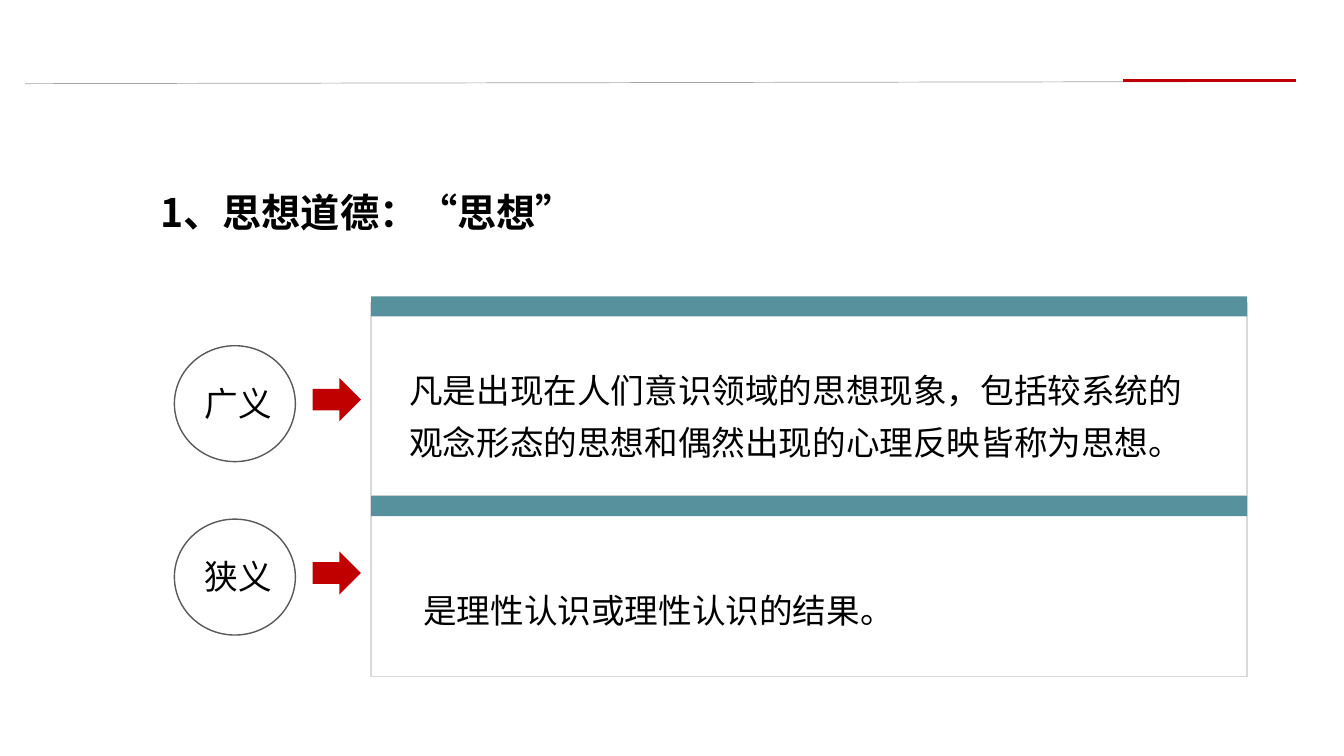
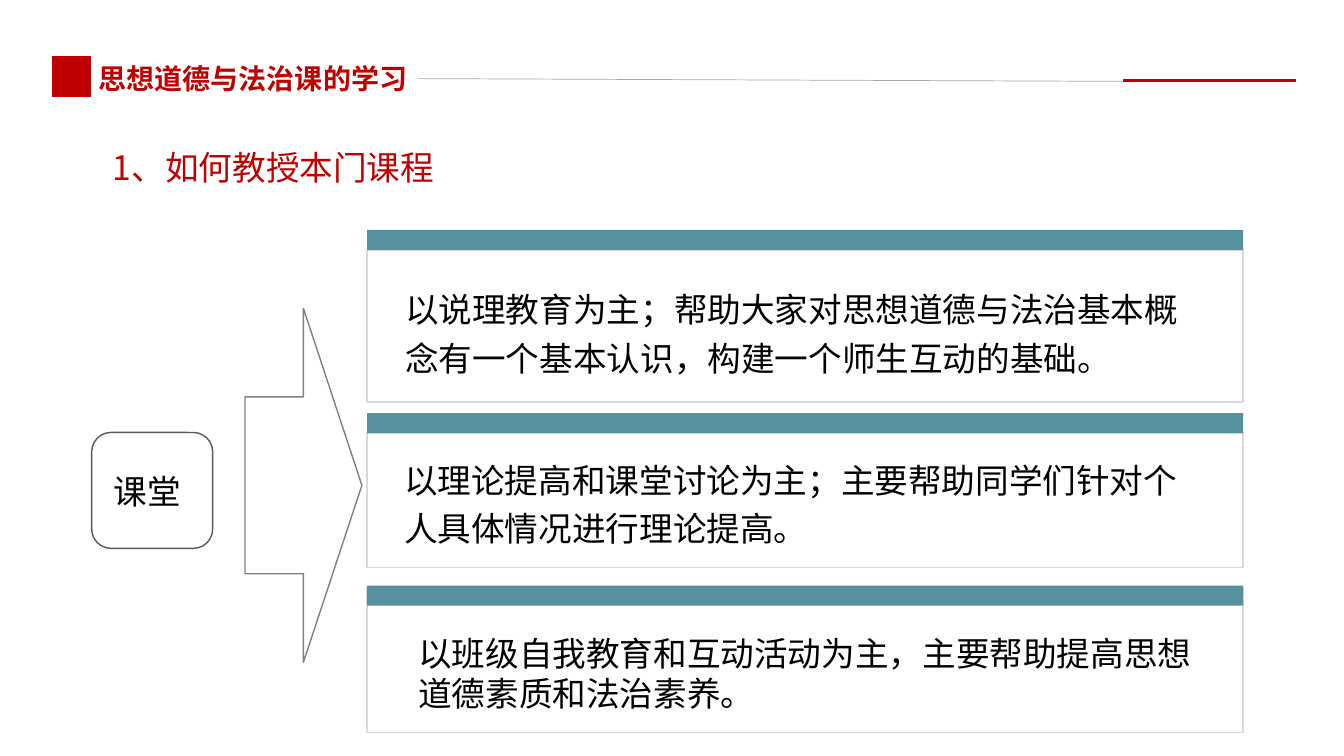
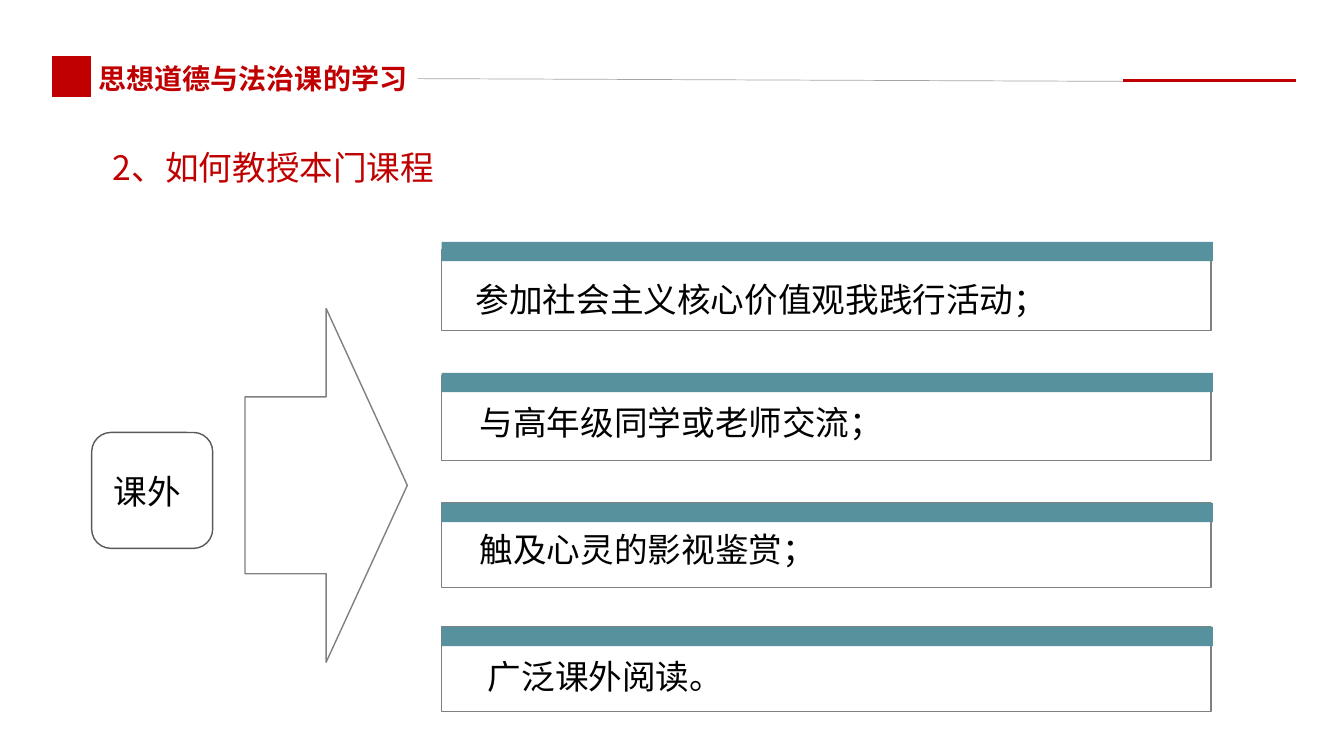
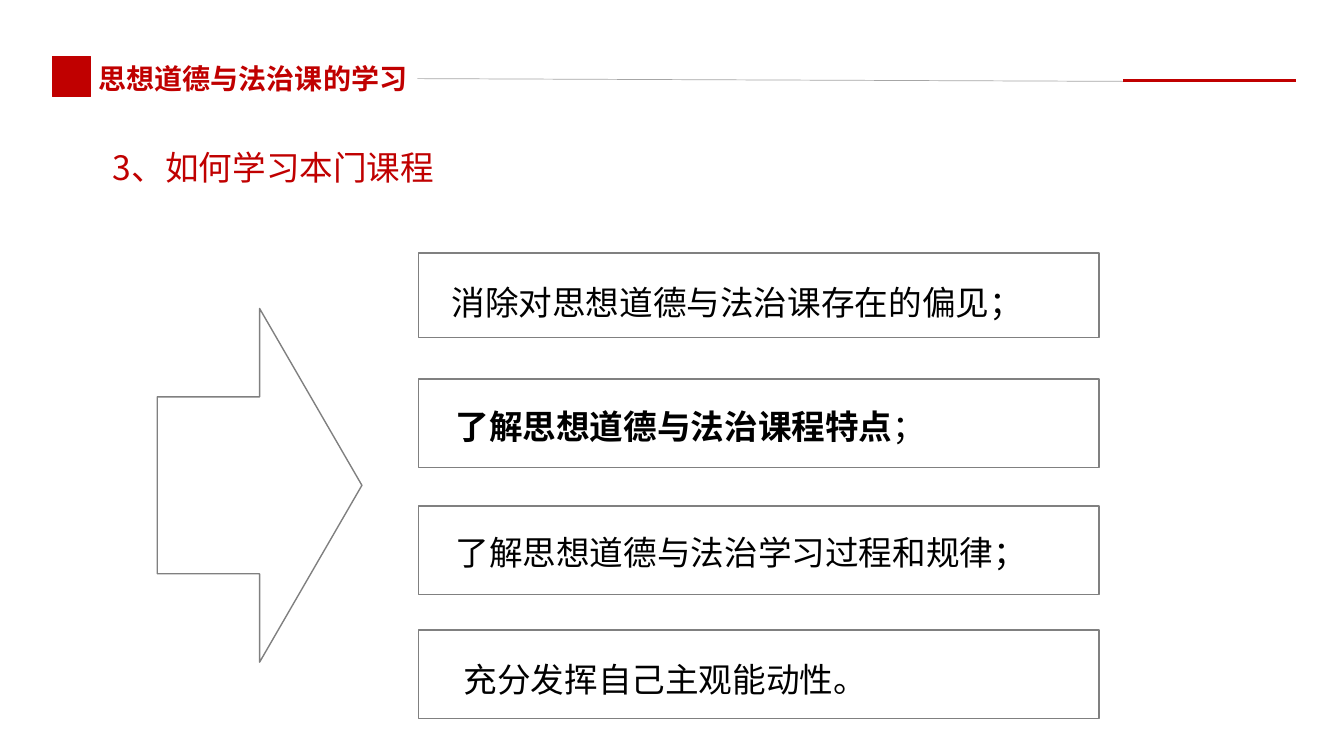
from dataclasses import dataclass
from lxml.etree import SubElement
from pptx import Presentation
from pptx.dml.color import RGBColor as Rgb
from pptx.enum.shapes import MSO_CONNECTOR as Conn, MSO_SHAPE as Kind
from pptx.enum.text import MSO_ANCHOR as Anchor, MSO_AUTO_SIZE as Auto, PP_ALIGN as Align
from pptx.oxml.ns import qn
from pptx.util import Inches, Pt


@dataclass(frozen=True)
class Theme:
    red: str = "C00000"
    teal: str = "58919E"
    white: str = "FFFFFF"
    black: str = "000000"
    dark: str = "595959"
    mid: str = "808080"
    rule: str = "A6A6A6"
    pale: str = "D9D9D9"
    font: str = "Noto Sans CJK SC"
    latin: str = "Arial"
    big: int = 28
    body: int = 24
    small: int = 20


class Deck:
    """Hold the theme and the current slide, and draw each kind of element."""

    def __init__(self, theme):
        self.theme = theme
        self.file = Presentation()
        self.file.slide_width = Inches(13.33)
        self.file.slide_height = Inches(7.5)
        self.slide = None

    def start(self, title, box, **style):
        self.slide = self.file.slides.add_slide(self.file.slide_layouts[5])
        head = self.slide.shapes.title
        head.left, head.top, head.width, head.height = map(Inches, box)
        self.label(head, title, **style)

    def label(self, shape, text, size=None, color=None, bold=False,
              space=1.0, align=Align.LEFT, wrap=True):
        frame = shape.text_frame
        look = {"word_wrap": wrap, "auto_size": Auto.SHAPE_TO_FIT_TEXT,
                "vertical_anchor": Anchor.TOP}
        for name, value in look.items():
            setattr(frame, name, value)
        para = frame.paragraphs[0]
        para.alignment = align
        para.line_spacing = space
        parts = [(text, bold, self.theme.font)] if isinstance(text, str) else text
        for words, heavy, face in parts:
            run = para.add_run()
            run.text = words
            look = {"size": Pt(size or self.theme.body), "bold": heavy, "name": face}
            for name, value in look.items():
                setattr(run.font, name, value)
            run.font.color.rgb = Rgb.from_string(color or self.theme.black)
            east = SubElement(run._r.get_or_add_rPr(), qn("a:ea"))
            east.set("typeface", self.theme.font)

    def text(self, text, box, **style):
        shape = self.slide.shapes.add_textbox(*map(Inches, box))
        self.label(shape, text, **style)
        return shape

    def shape(self, kind, box, fill=None, line=None, width=1):
        shape = self.slide.shapes.add_shape(kind, *map(Inches, box))
        shape.shadow.inherit = False
        if fill:
            shape.fill.solid()
            shape.fill.fore_color.rgb = Rgb.from_string(fill)
        else:
            shape.fill.background()
        if line:
            shape.line.color.rgb = Rgb.from_string(line)
            shape.line.width = Pt(width)
        else:
            shape.line.fill.background()

    def line(self, ends, color, width):
        line = self.slide.shapes.add_connector(Conn.STRAIGHT, *map(Inches, ends))
        line.line.color.rgb = Rgb.from_string(color)
        line.line.width = Pt(width)
        SubElement(line._element.spPr, qn("a:effectLst"))
        return line

    def rules(self, left, top):
        grey = self.line((left, top, 11.83, 0.81), self.theme.rule, 0.5)
        self.line((11.14, 0.8, 12.85, 0.8), self.theme.red, 2)
        return grey

    def topic(self, title):
        red = self.theme.red
        self.start(title, (1.02, 1.29, 11.63, 0.62), color=red, space=1.3)
        grey = self.rules(4.14, 0.78)
        name = self.text("思想道德与法治课的学习", (0.88, 0.56, 3.26, 0.44),
                         size=self.theme.small, color=red, bold=True, wrap=False)
        grey.begin_connect(name, 3)
        self.shape(Kind.RECTANGLE, (0.52, 0.56, 0.38, 0.4), red, red, 0.75)

    def badge(self, kind, text, box, spot):
        self.shape(kind, box, self.theme.white, self.theme.dark)
        self.text(text, spot)

    def arrow(self, left, width):
        self.shape(Kind.RIGHT_ARROW, (left, 3.06, width, 3.51), line=self.theme.mid)

    def panel(self, text, box, spot, line, space=1.2, band=None):
        self.shape(Kind.RECTANGLE, box, line=line)
        self.text(text, spot, space=space)
        if band:
            self.shape(Kind.RECTANGLE, band, self.theme.teal)


def sense(deck):
    theme = deck.theme
    deck.start("1、思想道德：“思想”", (1.49, 1.61, 5.94, 0.78),
               size=theme.big, bold=True, space=1.44, align=Align.JUSTIFY)
    deck.rules(0.25, 0.83)
    left, wide = 3.68, 8.69
    rows = [
        ("广义", 3.43, 3.75, 3, 3.71, 2.94, (3.96, 3.5, 7.95, 1.15), 1.3,
         "凡是出现在人们意识领域的思想现象，包括较系统的观念形态的思想和偶然出现的心理反映皆称为思想。"),
        ("狭义", 5.15, 5.47, 4.92, 1.79, 4.92, (4.1, 5.8, 6.6, 0.5), 1.0,
         "是理性认识或理性认识的结果。"),
    ]
    for name, disc, mark, top, high, band, spot, space, text in rows:
        deck.panel(text, (left, top, wide, high), spot, theme.pale, space,
                   (left, band, wide, 0.2))
        deck.badge(Kind.OVAL, name, (1.73, disc, 1.2, 1.15), (1.93, mark, 1.58, 0.5))
        deck.shape(Kind.RIGHT_ARROW, (3.1, mark, 0.48, 0.43), theme.red)


def place(deck, title, name, width):
    deck.topic(title)
    deck.badge(Kind.ROUNDED_RECTANGLE, name, (0.91, 4.29, 1.2, 1.15),
               (1.03, 4.62, 1.08, 0.5))
    deck.arrow(2.43, width)


def indoor(deck):
    place(deck, "1、如何教授本门课程", "课堂", 1.16)
    left, wide = 3.64, 8.69
    rows = [
        (2.48, 1.51, 2.28, (3.92, 2.74, 7.95, 1.07), 1.2,
         "以说理教育为主；帮助大家对思想道德与法治基本概念有一个基本认识，构建一个师生互动的基础。"),
        (4.29, 1.34, 4.1, (3.91, 4.43, 7.95, 1.07), 1.2,
         "以理论提高和课堂讨论为主；主要帮助同学们针对个人具体情况进行理论提高。"),
        (5.83, 1.44, 5.81, (4.05, 6.23, 7.91, 0.91), 1.0,
         "以班级自我教育和互动活动为主，主要帮助提高思想道德素质和法治素养。"),
    ]
    for top, high, band, spot, space, text in rows:
        deck.panel(text, (left, top, wide, high), spot, deck.theme.pale, space,
                   (left, band, wide, 0.2))


def outdoor(deck):
    place(deck, "2、如何教授本门课程", "课外", 1.61)
    left = 4.38
    rows = [
        (2.48, 0.8, 2.4, 4.62, 2.64, "参加社会主义核心价值观我践行活动；"),
        (3.73, 0.84, 3.7, 4.66, 3.86, "与高年级同学或老师交流；"),
        (4.99, 0.84, 4.99, 4.66, 5.12, "触及心灵的影视鉴赏；"),
        (6.22, 0.84, 6.22, 4.74, 6.38, "广泛课外阅读。"),
    ]
    for top, high, band, x, y, text in rows:
        deck.panel(text, (left, top, 7.63, high), (x, y, 6.98, 0.58),
                   deck.theme.mid, band=(left, band, 7.65, 0.19))


def study(deck):
    theme = deck.theme
    deck.topic("3、如何学习本门课程")
    deck.arrow(1.56, 2.03)
    traits = [("了解思想道德与法治课程特点", True, theme.latin), ("；", False, theme.font)]
    rows = [
        (2.51, 0.84, 4.38, 2.67, "消除对思想道德与法治课存在的偏见；"),
        (3.76, 0.88, 4.42, 3.9, traits),
        (5.02, 0.88, 4.42, 5.15, "了解思想道德与法治学习过程和规律；"),
        (6.25, 0.88, 4.5, 6.41, "充分发挥自己主观能动性。"),
    ]
    for top, high, x, y, text in rows:
        deck.panel(text, (4.15, top, 6.75, high), (x, y, 6.17, 0.58), theme.mid)


def main():
    deck = Deck(Theme())
    for draw in (sense, indoor, outdoor, study):
        draw(deck)
    deck.file.save("out.pptx")


if __name__ == "__main__":
    main()
